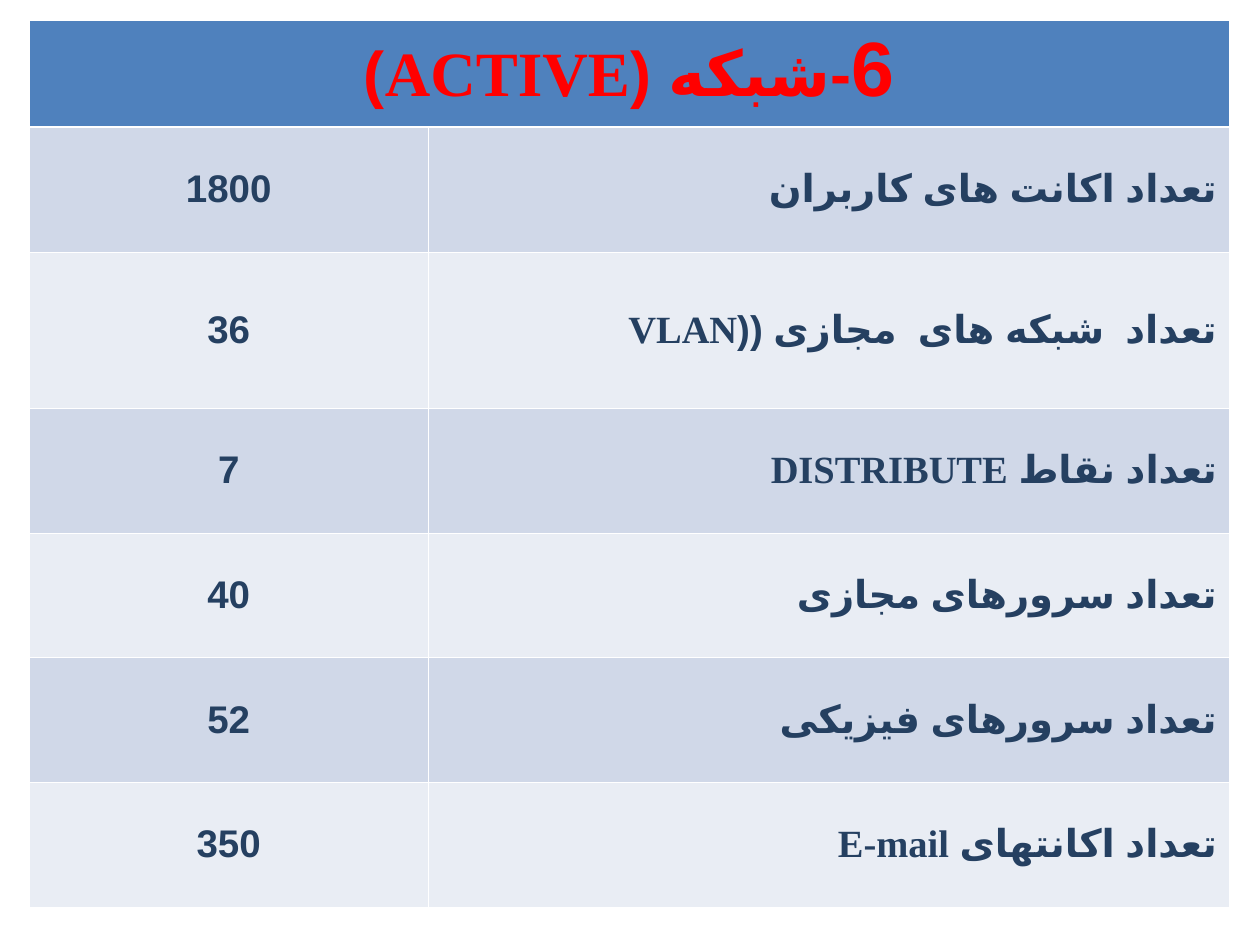
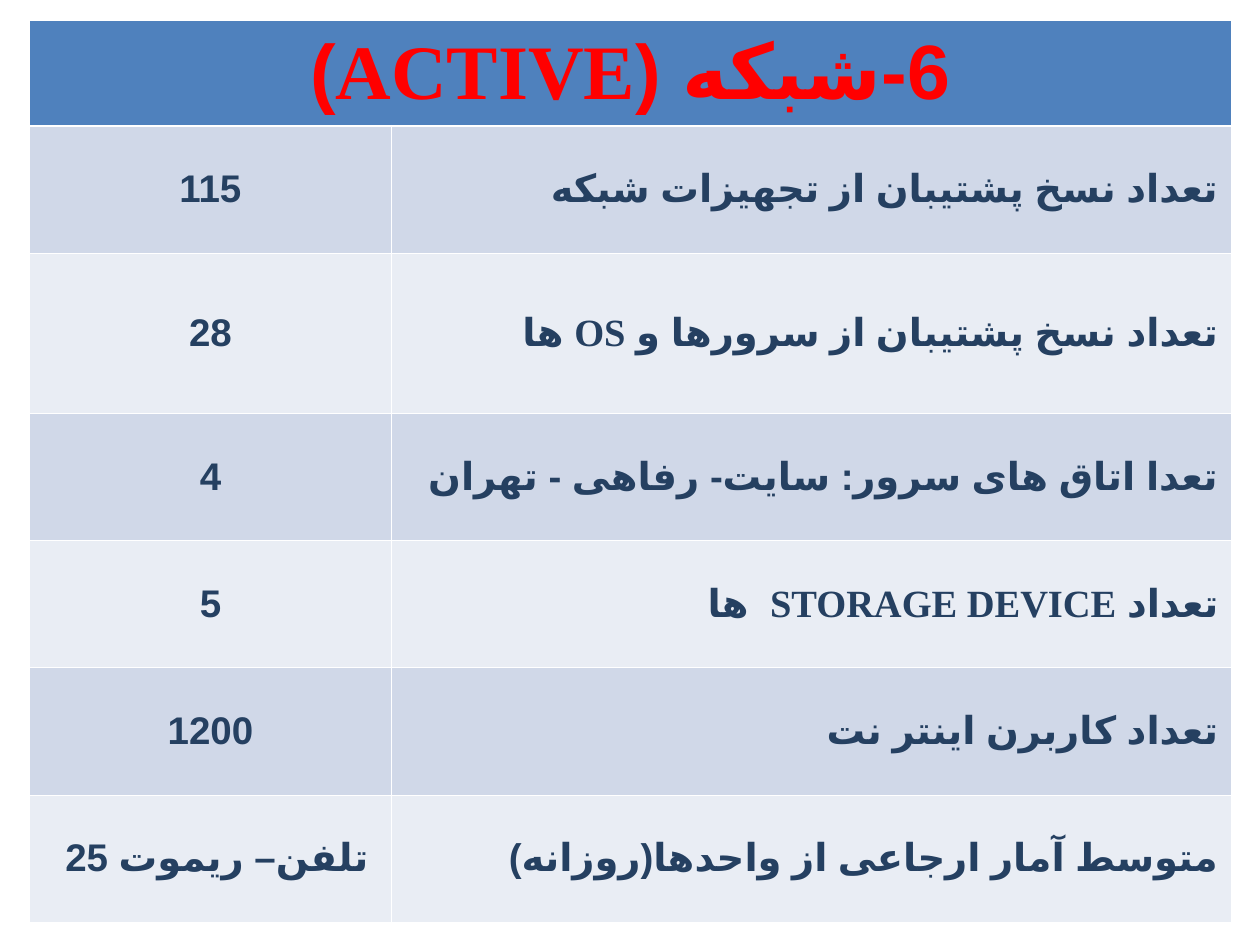
import dataclasses

import lxml.etree
import pptx
import pptx.dml.color
import pptx.enum.lang
import pptx.enum.text
import pptx.oxml.ns
import pptx.util

Inches = pptx.util.Inches
Pt = pptx.util.Pt
Color = pptx.dml.color.RGBColor.from_string
Align = pptx.enum.text.PP_ALIGN
Anchor = pptx.enum.text.MSO_ANCHOR
Language = pptx.enum.lang.MSO_LANGUAGE_ID
qn = pptx.oxml.ns.qn


@dataclasses.dataclass(frozen=True)
class Theme:
    header: str = "4F81BD"
    bands: tuple = ("D0D8E8", "E9EDF4")
    title: str = "FF0000"
    body: str = "254061"
    border: str = "FFFFFF"
    main_font: str = "Calibri"
    latin_font: str = "Times New Roman"
    persian_font: str = "Arial"
    title_size: int = 44
    small_title_size: int = 36
    body_size: int = 22
    thin_line: float = 0.45
    thick_line: float = 1.47


theme = Theme()


def style_cell(cell, fill, top, bottom):
    properties = cell._tc.get_or_add_tcPr()
    widths = {"a:lnL": theme.thin_line, "a:lnR": theme.thin_line, "a:lnT": top, "a:lnB": bottom}
    for side, width in widths.items():
        line = lxml.etree.SubElement(properties, qn(side), w=str(Pt(width)))
        solid = lxml.etree.SubElement(line, qn("a:solidFill"))
        lxml.etree.SubElement(solid, qn("a:srgbClr"), val=theme.border)
    cell.fill.solid()
    cell.fill.fore_color.rgb = Color(fill)
    cell.vertical_anchor = Anchor.MIDDLE


def write_cell(cell, texts, align, size, color):
    para = cell.text_frame.paragraphs[0]
    para.alignment = align
    para._p.get_or_add_pPr().set("rtl", "1")
    para.font.size = Pt(size)
    para.font.bold = True
    para.font.color.rgb = Color(color)
    para.font.name = theme.main_font
    defaults = para._p.pPr.find(qn("a:defRPr"))
    lxml.etree.SubElement(defaults, qn("a:cs"), typeface=theme.persian_font)
    for text in texts:
        span = para.add_run()
        span.text = text
        if text.isascii() and any(letter.isalpha() for letter in text):
            span.font.name = theme.latin_font
        else:
            span.font.language_id = Language.FARSI
    return para


network_pages = [
    {
        "title": ["6", "-شبکه ", "(ACTIVE)"],
        "title_anchor": Anchor.TOP,
        "small_title_spans": slice(1, None),
        "columns": [3.17, 6.36],
        "header_height": 0.85,
        "row_height": 0.99,
        "tall_row_height": 1.24,
        "rows": [
            ("1800", ["تعداد اکانت های کاربران"]),
            ("36", ["تعداد  شبکه های  مجازی (", "(VLAN"]),
            ("7", ["تعداد نقاط ", "DISTRIBUTE"]),
            ("40", ["تعداد سرورهای مجازی"]),
            ("52", ["تعداد سرورهای فیزیکی"]),
            ("350", ["تعداد اکانتهای ", "E-mail"]),
        ],
    },
    {
        "title": ["6-شبکه ", "(ACTIVE)"],
        "title_anchor": Anchor.MIDDLE,
        "small_title_spans": slice(0, 0),
        "columns": [2.88, 6.66],
        "header_height": 0.84,
        "row_height": 1.01,
        "tall_row_height": 1.27,
        "rows": [
            ("115", ["تعداد نسخ پشتیبان از تجهیزات شبکه"]),
            ("28", ["تعداد نسخ پشتیبان از سرورها و ", "OS", " ها"]),
            ("4", ["تعدا اتاق های سرور: سایت- رفاهی - تهران"]),
            ("5", ["تعداد ", "STORAGE DEVICE  ", "ها"]),
            ("1200", ["تعداد کاربرن اینتر نت"]),
            (" تلفن– ریموت 25", ["متوسط آمار ارجاعی از واحدها(روزانه)"]),
        ],
    },
]

deck = pptx.Presentation()
deck.slide_width = Inches(10)
deck.slide_height = Inches(7.5)

for content in network_pages:
    page = deck.slides.add_slide(deck.slide_layouts[6])
    heights = [content["header_height"]] + [content["row_height"]] * len(content["rows"])
    heights[2] = content["tall_row_height"]
    frame = page.shapes.add_table(
        len(heights), 2, Inches(0.23), Inches(0.16),
        Inches(sum(content["columns"])), Inches(sum(heights)),
    )
    table = frame.table
    table.first_row = False
    table.horz_banding = False
    for column, width in zip(table.columns, content["columns"]):
        column.width = Inches(width)
    for row, height in zip(table.rows, heights):
        row.height = Inches(height)

    title_cell = table.cell(0, 0)
    title_cell.merge(table.cell(0, 1))
    for cell in table.rows[0].cells:
        style_cell(cell, theme.header, theme.thin_line, theme.thick_line)
    title_cell.vertical_anchor = content["title_anchor"]
    title = write_cell(title_cell, content["title"], Align.CENTER, theme.title_size, theme.title)
    for span in title.runs[content["small_title_spans"]]:
        span.font.size = Pt(theme.small_title_size)

    for index, (value, label) in enumerate(content["rows"]):
        top = theme.thin_line if index else theme.thick_line
        value_align = Align.CENTER if value.isdigit() else Align.RIGHT
        for column, texts, align in ((0, [value], value_align), (1, label, Align.RIGHT)):
            cell = table.cell(index + 1, column)
            style_cell(cell, theme.bands[index % 2], top, theme.thin_line)
            write_cell(cell, texts, align, theme.body_size, theme.body)

deck.save("out.pptx")
